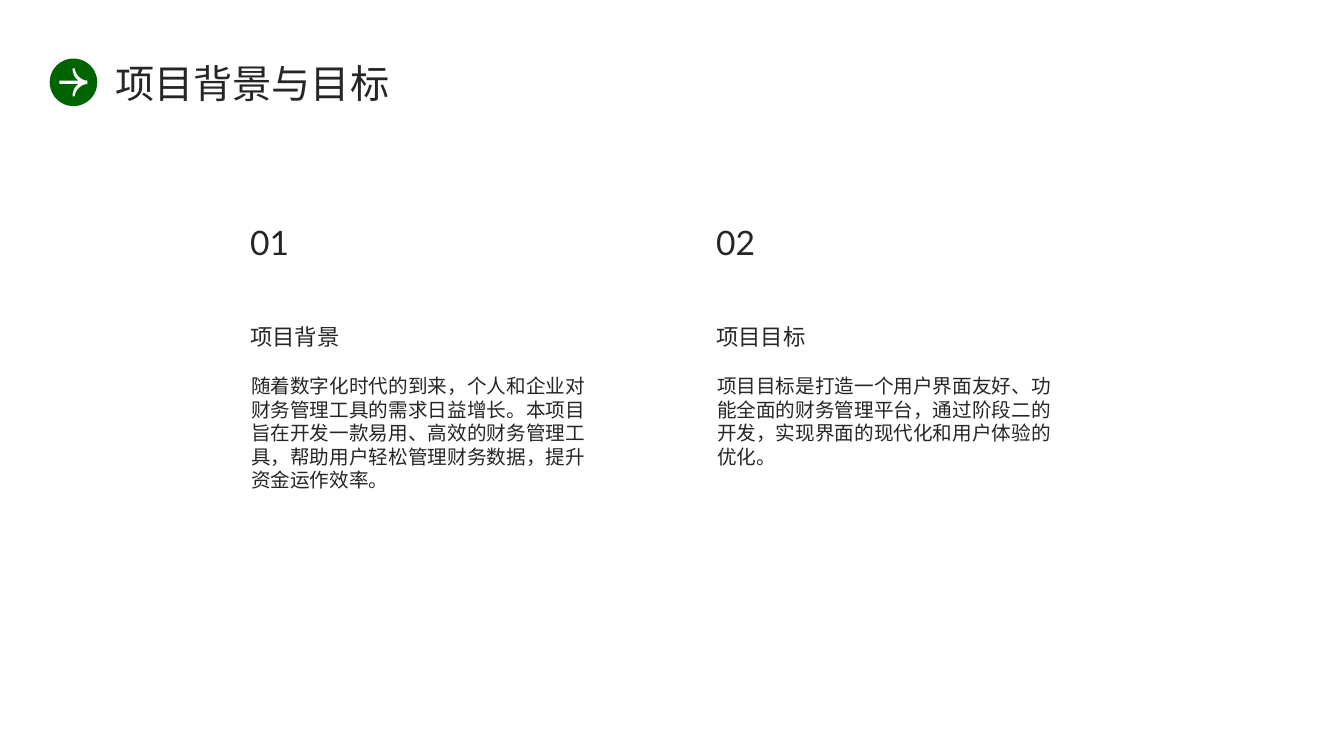
from pptx import Presentation
from pptx.dml.color import RGBColor
from pptx.enum.shapes import MSO_SHAPE
from pptx.enum.text import MSO_ANCHOR
from pptx.oxml.ns import qn
from pptx.util import Pt
from lxml.etree import SubElement

SANS, LATO = "Noto Sans CJK SC", "Lato"
INK, GREEN, WHITE = "262626", "006400", "FFFFFF"

TOPICS = [
    ("01", "项目背景",
     "随着数字化时代的到来，个人和企业对财务管理工具的需求日益增长。"
     "本项目旨在开发一款易用、高效的财务管理工具，帮助用户轻松管理财务数据，"
     "提升资金运作效率。"),
    ("02", "项目目标",
     "项目目标是打造一个用户界面友好、功能全面的财务管理平台，"
     "通过阶段二的开发，实现界面的现代化和用户体验的优化。"),
]

# Upper half of the arrow, from the shaft's tail to the tip, in a 20 pt square
ARROW = [(0, 8.8), (13.6, 8.8), (12, 7.4), (10.8, 5.8), (10, 4), (9.5, 2),
         (9.4, 0), (10.9, 0), (11.2, 1.6), (12, 3.6), (13.2, 5.3),
         (14.8, 6.9), (16.6, 8), (18.2, 8.6), (20, 8.8)]


def color(code):
    return RGBColor.from_string(code)


def paint(shape, code):
    """Give a shape a flat fill with no outline or shadow."""
    shape.shadow.inherit = False
    shape.fill.solid()
    shape.fill.fore_color.rgb = color(code)
    shape.line.fill.background()


def label(slide, box, text, size, face=SANS, anchor=MSO_ANCHOR.MIDDLE):
    frame = slide.shapes.add_textbox(*map(Pt, box)).text_frame
    frame.word_wrap = True
    frame.vertical_anchor = anchor
    frame.margin_left = frame.margin_right = 0
    frame.margin_top = frame.margin_bottom = 0
    run = frame.paragraphs[0].add_run()
    run.text = text
    run.font.size = Pt(size)
    run.font.name = face
    run.font.color.rgb = color(INK)
    SubElement(run.font._element, qn("a:ea")).set("typeface", face)


def badge(slide, left, top, size):
    """Draw the round arrow mark."""
    disc = slide.shapes.add_shape(
        MSO_SHAPE.OVAL, Pt(left), Pt(top), Pt(size), Pt(size))
    paint(disc, GREEN)
    pad = (size - 20) / 2
    lower = [(x, 20 - y) for x, y in reversed(ARROW)]
    points = [(Pt(left + pad + x), Pt(top + pad + y))
              for x, y in ARROW + lower]
    pen = slide.shapes.build_freeform(*points[0])
    pen.add_line_segments(points[1:], close=True)
    paint(pen.convert_to_shape(), WHITE)


def header(slide, left, top, width, height):
    badge(slide, left, top, height)
    inset = 46.8
    label(slide, (left + inset, top, width - inset, height),
          "项目背景与目标", 28)


def column(slide, left, top, width, height, topic):
    number, title, body = topic
    label(slide, (left, top, 109.4, 65.5), number, 24, LATO)
    label(slide, (left, top + 79.2, width, 41.8), title, 16)
    label(slide, (left + 0.7, top + 126.7, width - 1.4, height - 126.7),
          body, 14, anchor=MSO_ANCHOR.TOP)


def main():
    deck = Presentation()
    deck.slide_width, deck.slide_height = Pt(960), Pt(540)
    slide = deck.slides.add_slide(deck.slide_layouts[6])
    header(slide, 35.5, 41.8, 871, 34)
    for i, topic in enumerate(TOPICS):
        column(slide, 178.7 + i * 332.8, 140.4, 242, 324, topic)
    deck.save("out.pptx")


if __name__ == "__main__":
    main()
